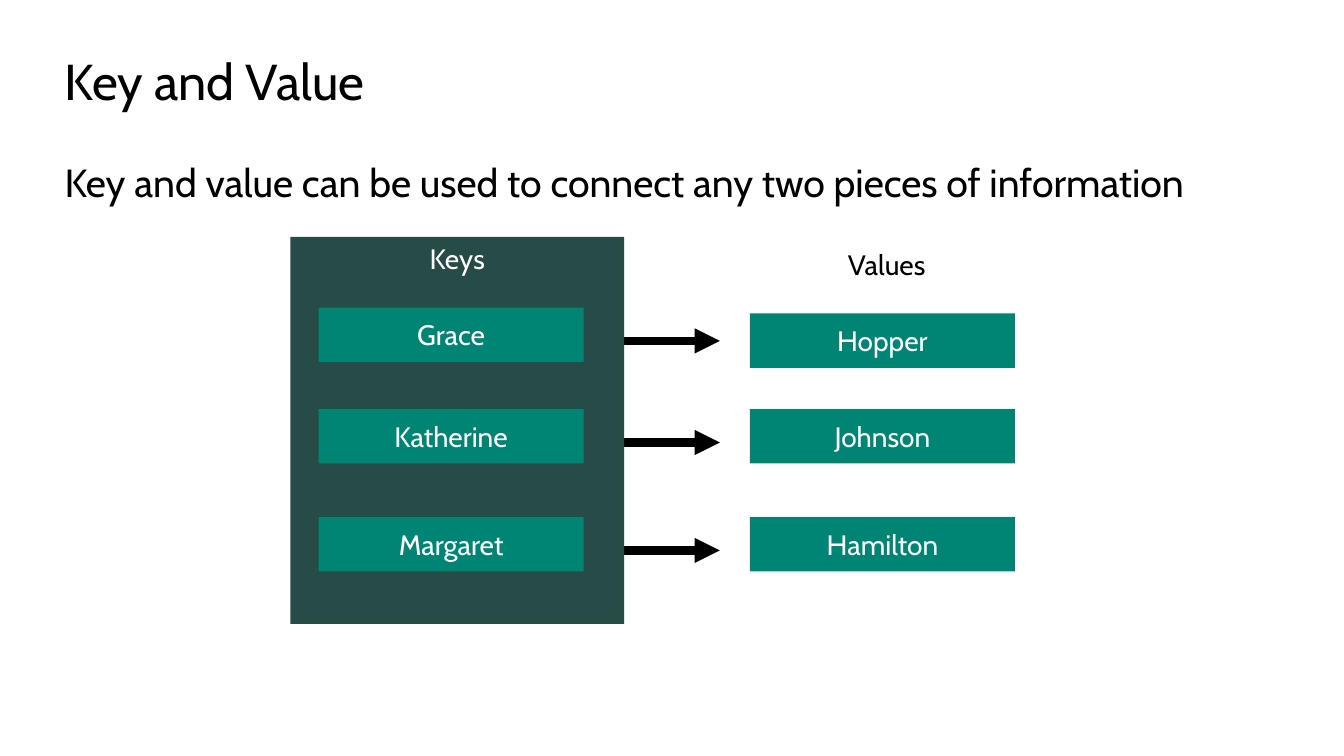
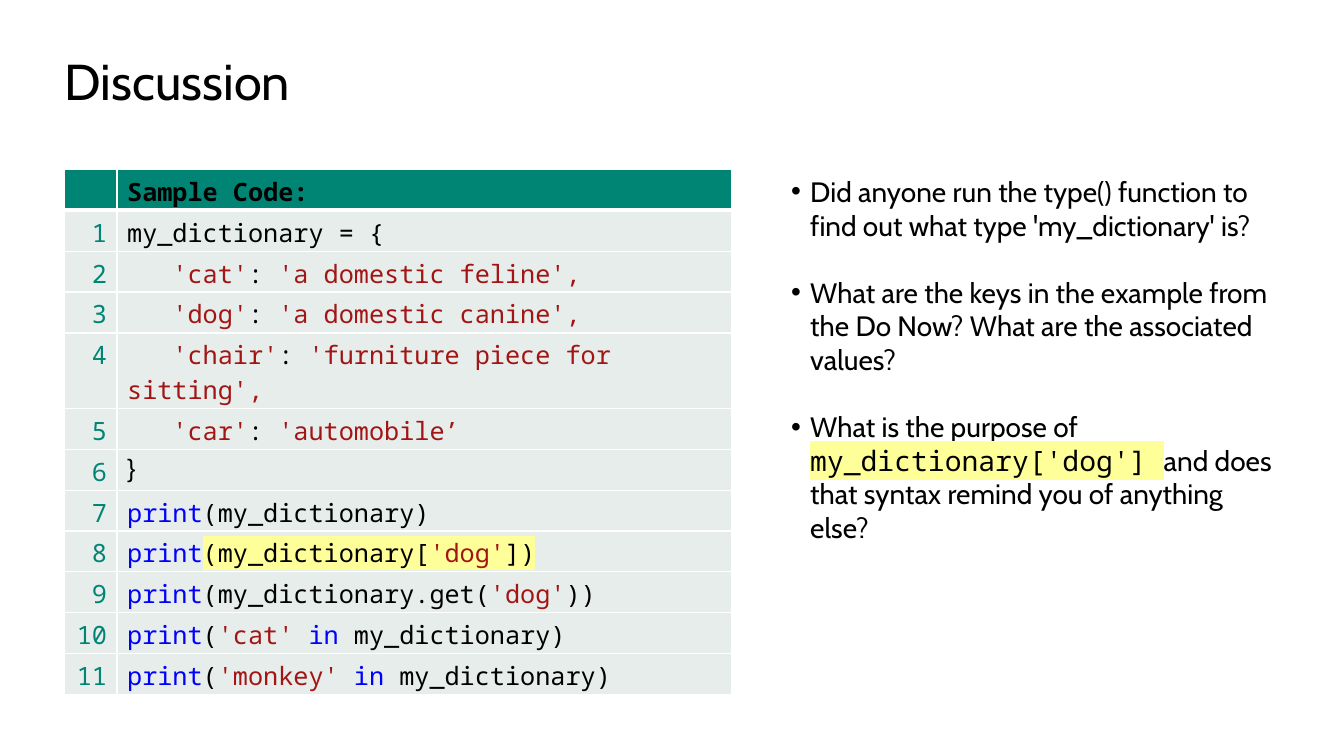
from lxml.etree import SubElement
from pptx import Presentation
from pptx.dml.color import RGBColor
from pptx.enum.shapes import MSO_CONNECTOR as CONNECTOR, MSO_SHAPE as SHAPE
from pptx.enum.text import MSO_ANCHOR as ANCHOR, PP_ALIGN as ALIGN
from pptx.oxml.ns import qn
from pptx.util import Cm, Pt

# Shared look
BLACK = RGBColor(0x00, 0x00, 0x00)
WHITE = RGBColor(0xFF, 0xFF, 0xFF)
TEAL = RGBColor(0x00, 0x85, 0x75)
DARK_TEAL = RGBColor(0x27, 0x4B, 0x47)
PALE = RGBColor(0xE6, 0xED, 0xEB)
STRING_RED = RGBColor(0xA3, 0x15, 0x15)
KEYWORD_BLUE = RGBColor(0x00, 0x00, 0xFF)
YELLOW = RGBColor(0xFF, 0xFF, 0x99)
SANS, MONO = "Cabin", "Noto Sans Mono"
TITLE = {"size": Pt(36), "name": SANS}
LEAD = {"size": Pt(28), "name": SANS}
BODY = {"size": Pt(20), "name": SANS}
CODE = {"size": Pt(18), "name": MONO, "bold": False}
LEFT, FULL_WIDTH = 1.63, 30.61

# Slide 1: key, value, top of the key box, top of the value box (cm)
PAIRS = [
    ("Grace", "Hopper", 7.75, 7.9),
    ("Katherine", "Johnson", 10.31, 10.31),
    ("Margaret", "Hamilton", 13.03, 13.03),
]
PANEL_SIZE = (8.41, 9.75)
BOX_SIZE = (6.68, 1.37)
KEY_LEFT, VALUE_LEFT = 8.03, 18.9
ARROW_FROM, ARROW_TO, ARROW_DROP = 15.39, 18.14, 0.84

# Slide 2: runs are text, colour, then optional extra formats
MARKED = {"highlight": YELLOW}
PRINT = ("print", KEYWORD_BLUE)
IN = ("in", KEYWORD_BLUE)
ROW_HEIGHT, WRAPPED_HEIGHT = 1.03, 1.9
WRAPPED_LINE = 4


def entry(key, meaning):
    return [(f"   {key}", STRING_RED), (": ", BLACK), (meaning, STRING_RED)]


def membership(key):
    return [PRINT, ("(", BLACK), (f"{key} ", STRING_RED), IN,
            (" my_dictionary)", BLACK)]


CODE_LINES = [
    [("my_dictionary = {", BLACK)],
    entry("'cat'", "'a domestic feline',"),
    entry("'dog'", "'a domestic canine',"),
    entry("'chair'", "'furniture piece for sitting',"),
    entry("'car'", "'automobile’"),
    [("}", BLACK, {"name": "Arial"})],
    [PRINT, ("(my_dictionary)", BLACK)],
    [PRINT, ("(my_dictionary[", BLACK, MARKED),
     ("'dog'", STRING_RED, MARKED), ("])", BLACK, MARKED)],
    [PRINT, ("(my_dictionary.get(", BLACK), ("'dog'", STRING_RED),
     ("))", BLACK)],
    membership("'cat'"),
    membership("'monkey'"),
]
QUESTIONS = [
    [("Did anyone run the type() function to find out what type "
      "'my_dictionary' is?", BLACK)],
    [("What are the keys in the example from the Do Now? "
      "What are the associated values?", BLACK)],
    [("What is the purpose of ", BLACK),
     ("my_dictionary['dog'] ", BLACK, {"name": MONO, **MARKED}),
     ("and does that syntax remind you of anything else?", BLACK)],
]


def write(paragraph, runs, base, align=ALIGN.LEFT):
    paragraph.alignment = align
    for text, color, *extra in runs:
        run = paragraph.add_run()
        run.text = text
        run.font.color.rgb = color
        formats = {**base, **(extra[0] if extra else {})}
        highlight = formats.pop("highlight", None)
        for name, value in formats.items():
            setattr(run.font, name, value)
        if highlight is not None:
            properties = run.font._element
            mark = SubElement(properties, qn("a:highlight"))
            SubElement(mark, qn("a:srgbClr"), val=str(highlight))
            properties.find(qn("a:solidFill")).addnext(mark)


def add_text(slide, place, runs, style, align=ALIGN.LEFT, inset=True):
    frame = slide.shapes.add_textbox(*map(Cm, place)).text_frame
    frame.word_wrap = True
    if not inset:
        for side in ("left", "top", "right", "bottom"):
            setattr(frame, f"margin_{side}", 0)
    write(frame.paragraphs[0], runs, style, align)
    return frame


def add_box(slide, place, text, fill, anchor=ANCHOR.MIDDLE):
    box = slide.shapes.add_shape(SHAPE.RECTANGLE, *map(Cm, place))
    box.shadow.inherit = False
    box.fill.solid()
    box.fill.fore_color.rgb = fill
    box.line.fill.background()
    box.text_frame.vertical_anchor = anchor
    write(box.text_frame.paragraphs[0], [(text, WHITE)], BODY, ALIGN.CENTER)


def add_arrow(slide, y):
    arrow = slide.shapes.add_connector(
        CONNECTOR.STRAIGHT, Cm(ARROW_FROM), Cm(y), Cm(ARROW_TO), Cm(y))
    arrow.line.color.rgb = BLACK
    arrow.line.width = Pt(6)
    SubElement(arrow.line._get_or_add_ln(), qn("a:tailEnd"), type="triangle")
    SubElement(arrow._element.spPr, qn("a:effectLst"))


def fill_cell(cell, runs, fill, style, align=ALIGN.LEFT, bottom_line=1):
    cell.margin_bottom = 0
    write(cell.text_frame.paragraphs[0], runs, style, align)
    properties = cell._tc.get_or_add_tcPr()
    for edge, points in (("L", 1), ("R", 1), ("T", 1), ("B", bottom_line)):
        line = SubElement(properties, qn(f"a:ln{edge}"), w=str(Pt(points)))
        SubElement(SubElement(line, qn("a:solidFill")), qn("a:srgbClr"),
                   val=str(WHITE))
    cell.fill.solid()
    cell.fill.fore_color.rgb = fill


def add_slide(deck, title):
    slide = deck.slides.add_slide(deck.slide_layouts[6])
    add_text(slide, (LEFT, 1.27, FULL_WIDTH, 1.55), [(title, BLACK)], TITLE,
             inset=False)
    return slide


def key_value_slide(deck):
    slide = add_slide(deck, "Key and Value")
    lead = "Key and value can be used to connect any two pieces of information"
    add_text(slide, (LEFT, 3.99, FULL_WIDTH, 1.19), [(lead, BLACK)], LEAD,
             inset=False)
    # Arrows start behind the keys panel
    for _, _, key_top, _ in PAIRS:
        add_arrow(slide, key_top + ARROW_DROP)
    add_text(slide, (18.14, 6.12, *PANEL_SIZE), [("Values", BLACK)], BODY,
             ALIGN.CENTER)
    add_box(slide, (7.32, 5.97, *PANEL_SIZE), "Keys", DARK_TEAL, ANCHOR.TOP)
    for key, value, key_top, value_top in PAIRS:
        add_box(slide, (KEY_LEFT, key_top, *BOX_SIZE), key, TEAL)
        add_box(slide, (VALUE_LEFT, value_top, *BOX_SIZE), value, TEAL)


def discussion_slide(deck):
    slide = add_slide(deck, "Discussion")
    top, widths = 4.27, (1.32, 15.48)
    # Code listing; the line that wraps gets a taller row
    heights = [ROW_HEIGHT] * (len(CODE_LINES) + 1)
    heights[WRAPPED_LINE] = WRAPPED_HEIGHT
    listing = slide.shapes.add_table(
        len(heights), len(widths), Cm(LEFT), Cm(top), Cm(sum(widths)),
        Cm(sum(heights))).table
    listing.horz_banding = False
    for column, width in zip(listing.columns, widths):
        column.width = Cm(width)
    for row, height in zip(listing.rows, heights):
        row.height = Cm(height)
    heading = {**CODE, "bold": True}
    for column, runs in enumerate(([], [("Sample Code:", BLACK)])):
        fill_cell(listing.cell(0, column), runs, TEAL, heading, bottom_line=3)
    for number, runs in enumerate(CODE_LINES, 1):
        fill_cell(listing.cell(number, 0), [(str(number), TEAL)], PALE, CODE,
                  ALIGN.RIGHT)
        fill_cell(listing.cell(number, 1), runs, PALE, CODE)
    # Questions
    frame = add_text(slide, (19.69, top, 12.83, 9.65), [], BODY)
    for index, runs in enumerate(QUESTIONS):
        question = frame.paragraphs[0] if index == 0 else frame.add_paragraph()
        question.line_spacing = Pt(24)
        question.space_before = Pt(24 if index else 0)
        properties = question._p.get_or_add_pPr()
        properties.set("marL", str(Cm(0.48)))
        properties.set("indent", str(-Cm(0.48)))
        SubElement(properties, qn("a:buFont"), typeface="Arial")
        SubElement(properties, qn("a:buChar"), char="•")
        write(question, runs, BODY)


def main():
    deck = Presentation()
    deck.slide_width, deck.slide_height = Cm(33.87), Cm(19.05)
    key_value_slide(deck)
    discussion_slide(deck)
    deck.save("out.pptx")


if __name__ == "__main__":
    main()
